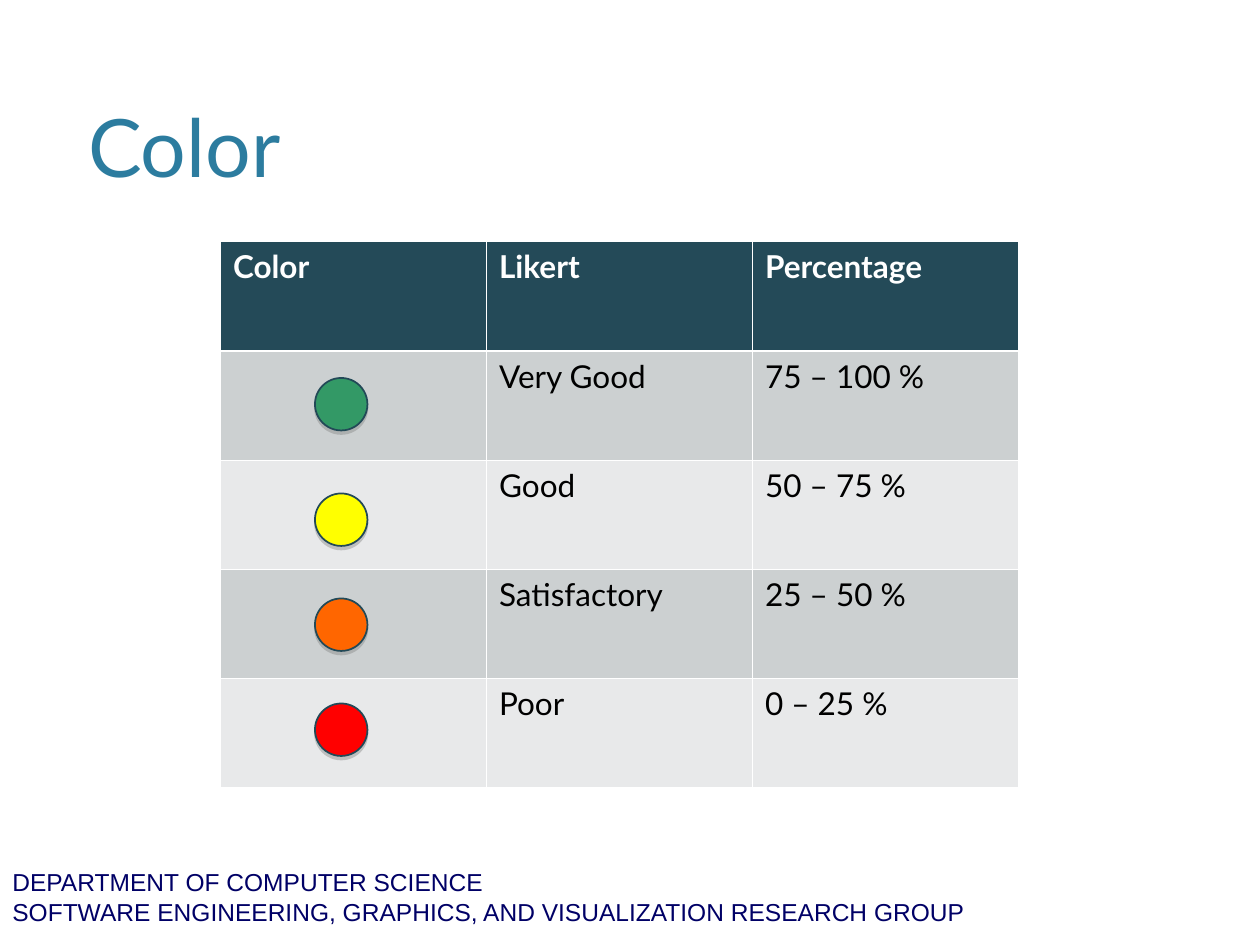
from collections import namedtuple

from lxml.etree import SubElement
from pptx import Presentation
from pptx.dml.color import RGBColor
from pptx.enum.shapes import MSO_SHAPE as Shape
from pptx.enum.text import MSO_ANCHOR as Anchor
from pptx.oxml.ns import qn
from pptx.util import Inches, Pt

COLORS = {
    "title": "2C7C9F", "footer": "000066", "white": "FFFFFF", "black": "000000",
    "header": "244A58", "dark_band": "CCD0D1", "light_band": "E8E9EA",
    "outline": "224957", "shadow": "808080",
    "green": "339966", "yellow": "FFFF00", "orange": "FF6600", "red": "FF0000",
}
UNIT = Inches(1) // 12  # the page is a grid of 120 columns and 90 rows
Box = namedtuple("Box", "left top width height")

HEADINGS = ("Color", "Likert", "Percentage")
# dot colour, rating, range, distance of the dot from the table's top in grid rows
RATINGS = (
    ("green", "Very Good", "75 – 100 %", 13),
    ("yellow", "Good", "50 – 75 %", 24),
    ("orange", "Satisfactory", "25 – 50 %", 34),
    ("red", "Poor", "0 – 25 %", 44),
)
DOT_COLUMN, DOT_SIZE = 9, 5


def grid(box):
    return [round(length * UNIT) for length in box]


def rgb(name):
    return RGBColor.from_string(COLORS[name])


def write(frame, *lines, font="Lato", size=18, color="black", bold=False):
    for number, line in enumerate(lines):
        para = frame.add_paragraph() if number else frame.paragraphs[0]
        span = para.add_run()
        span.text = line
        span.font.name, span.font.size, span.font.bold = font, Pt(size), bold
        span.font.color.rgb = rgb(color)


def add_text(page, box, *lines, anchor=Anchor.TOP, **style):
    frame = page.shapes.add_textbox(*grid(box)).text_frame
    frame.word_wrap = True
    frame.vertical_anchor = anchor
    write(frame, *lines, **style)


def add_solid(parent, color, alpha=None):
    fill = SubElement(parent, qn("a:solidFill")) if alpha is None else parent
    tone = SubElement(fill, qn("a:srgbClr"), val=COLORS[color])
    if alpha is not None:
        SubElement(tone, qn("a:alpha"), val=str(alpha * 1000))


def set_borders(cell, **widths):
    """Draw white borders; widths in points are keyed by L, R, T and B."""
    properties = cell._tc.get_or_add_tcPr()
    for place, (side, width) in enumerate(widths.items()):
        line = SubElement(properties, qn(f"a:ln{side}"), w=str(Pt(width)))
        add_solid(line, "white")
        properties.insert(place, line)


def add_dot(page, box, color):
    dot = page.shapes.add_shape(Shape.OVAL, *grid(box))
    dot.fill.solid()
    dot.fill.fore_color.rgb = rgb(color)
    dot.line.color.rgb = rgb("outline")
    dot.line.width = Pt(1)
    dot.shadow.inherit = False
    effects = dot._element.spPr.find(qn("a:effectLst"))
    shadow = SubElement(effects, qn("a:outerShdw"), blurRad="0", dist=str(Pt(2)),
                        dir=str(90 * 60000), rotWithShape="0")
    add_solid(shadow, "shadow", alpha=40)


def add_rating_table(page, box):
    rows = [HEADINGS] + [("", rating, span) for _, rating, span, _ in RATINGS]
    table = page.shapes.add_table(len(rows), len(HEADINGS), *grid(box)).table
    for r, row in enumerate(rows):
        band = "header" if r == 0 else "dark_band" if r % 2 else "light_band"
        for c, text in enumerate(row):
            cell = table.cell(r, c)
            cell.fill.solid()
            cell.fill.fore_color.rgb = rgb(band)
            set_borders(cell, L=0.45, R=0.45, T=1.47 if r == 1 else 0.45,
                        B=1.47 if r == 0 else 0.45)
            if text:
                write(cell.text_frame, text, bold=r == 0,
                      color="white" if r == 0 else "black")
    for color, _, _, offset in RATINGS:
        add_dot(page, Box(box.left + DOT_COLUMN, box.top + offset,
                          DOT_SIZE, DOT_SIZE), color)


def main():
    deck = Presentation()
    deck.slide_width, deck.slide_height = 120 * UNIT, 90 * UNIT
    page = deck.slides.add_slide(deck.slide_layouts[6])
    add_text(page, Box(7.2, 1.5, 105.5, 17.5), "Color",
             anchor=Anchor.BOTTOM, size=46, color="title")
    add_rating_table(page, Box(21, 23, 76, 52))
    add_text(page, Box(0, 82, 120, 7), "DEPARTMENT OF COMPUTER SCIENCE",
             "SOFTWARE ENGINEERING, GRAPHICS, AND VISUALIZATION RESEARCH GROUP",
             font="Arial", size=14, color="footer")
    deck.save("out.pptx")


if __name__ == "__main__":
    main()
